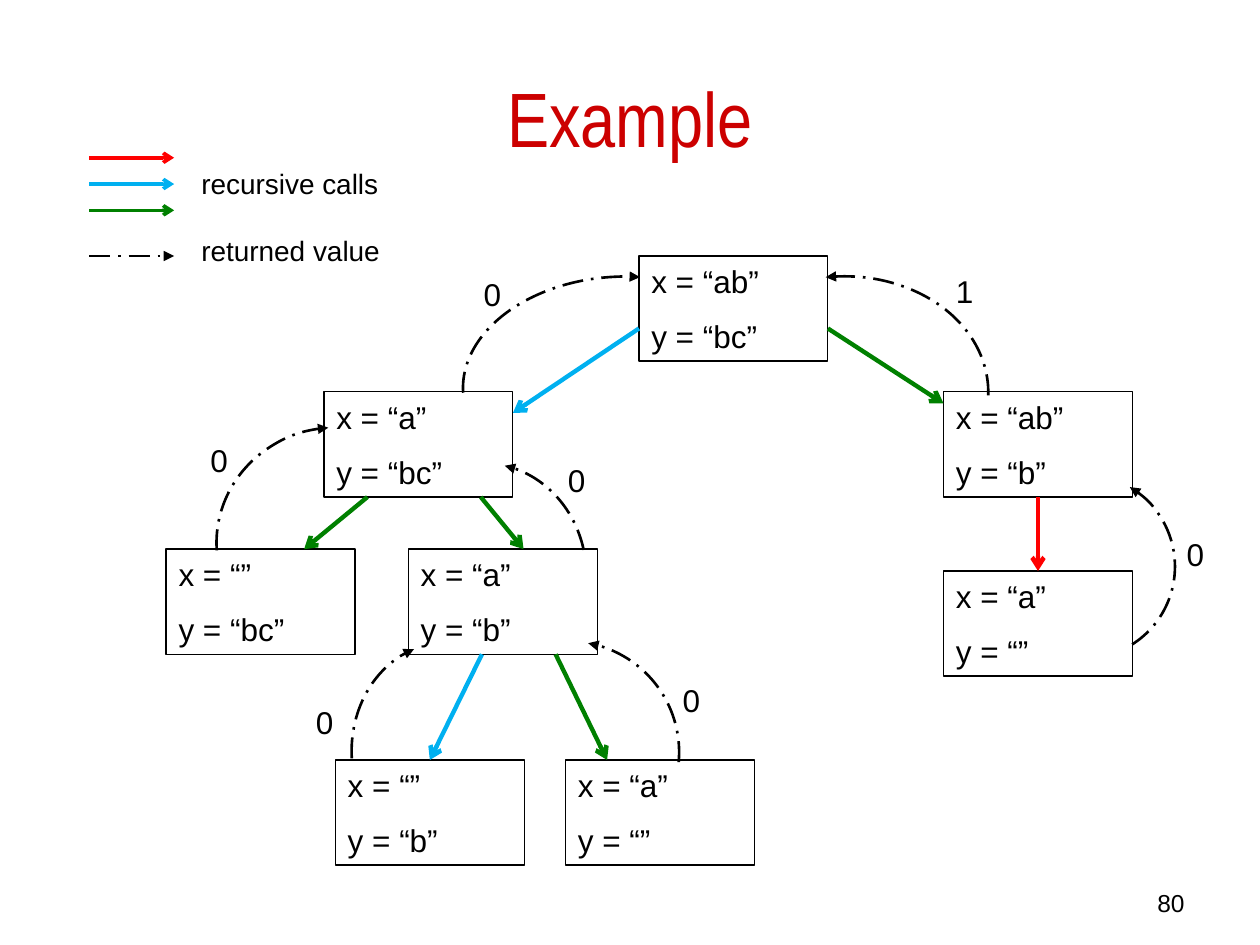
from lxml.etree import SubElement
from pptx import Presentation
from pptx.dml.color import RGBColor
from pptx.enum.dml import MSO_LINE
from pptx.enum.shapes import MSO_CONNECTOR, MSO_SHAPE
from pptx.enum.text import MSO_ANCHOR, PP_ALIGN
from pptx.oxml.ns import qn
from pptx.util import Cm, Pt

# Content (lengths in cm)
COLORS = {"black": "000000", "title": "CC0000", "red": "FF0000",
          "blue": "00B0F0", "green": "008000"}
BOX_W, BOX_H = 3.81, 2.12
LABEL_W, LABEL_H = 1.7, 1.02

# name: (left, top, x, y)
CALLS = {
    "root": (12.88, 5.16, "ab", "bc"),
    "left": (6.53, 7.9, "a", "bc"),
    "right": (19.02, 7.9, "ab", "b"),
    "left-left": (3.35, 11.07, "", "bc"),
    "left-right": (8.23, 11.07, "a", "b"),
    "right-down": (19.02, 11.51, "a", ""),
    "leaf-left": (6.76, 15.32, "", "b"),
    "leaf-right": (11.4, 15.32, "a", ""),
}
# caller, callee, colour, and the end points as fractions of each box
ARROWS = [
    ("root", "left", "blue", (0, 0.69), (1, 0.2)),
    ("left", "left-left", "green", (0.23, 1), (0.73, 0)),
    ("left", "left-right", "green", (0.83, 1), (0.61, 0)),
    ("left-right", "leaf-left", "blue", (0.39, 1), (0.5, 0)),
    ("left-right", "leaf-right", "green", (0.78, 1), (0.22, 0)),
    ("root", "right", "green", (1, 0.69), (0, 0.11)),
    ("right", "right-down", "red", (0.5, 1), (0.5, 0)),
]
SITES = {(0.5, 0): 0, (0, 0.5): 1, (0.5, 1): 2, (1, 0.5): 3}

# value, label left/top, arc frame, flipped, arc adjustments
RETURNS = [
    ("0", (23.67, 10.67), (19.99, 9.58, 3.71, 3.68), True, (124.72, 195.48)),
    ("0", (3.99, 8.76), (4.47, 8.51, 4.62, 4.83), False, (162, 0)),
    ("0", (6.12, 14.05), (6.81, 13.23, 4.47, 3.91), False, (162.58, 207.38)),
    ("0", (9.5, 5.41), (10.31, 4.6, 4.24, 6.2), False, (162, 9.95)),
    ("0", (13.51, 13.61), (9.22, 12.93, 4.47, 4.47), True, (156.53, 207.38)),
    ("0", (11.2, 9.17), (7.54, 9.53, 4.47, 4.09), True, (167.86, 207.38)),
    ("1", (19.02, 5.36), (14.5, 4.98, 4.83, 6.02), True, (159.83, 1.46)),
]
LEGEND_X = (1.8, 3.51)
LEGEND = [(3.18, "red"), (3.71, "blue"), (4.24, "green"), (5.16, None)]


def write(sp, lines, gap=0, anchor=MSO_ANCHOR.TOP, align=PP_ALIGN.LEFT,
          color="black", **font):
    tf = sp.text_frame
    tf.word_wrap = True
    tf.vertical_anchor = anchor
    for i, line in enumerate(lines):
        p = tf.add_paragraph() if i else tf.paragraphs[0]
        p.alignment = align
        p.space_before = Pt(gap if i else 0)
        r = p.add_run()
        r.text = line
        r.font.color.rgb = RGBColor.from_string(COLORS[color])
        for key, value in {"name": "Arial", "size": Pt(18), **font}.items():
            setattr(r.font, key, value)


def add_text(frame, lines, **fmt):
    write(s.shapes.add_textbox(*map(Cm, frame)), lines, **fmt)


def set_line(sp, color="black", width=1.5, dash=None, arrow=None):
    sp.line.color.rgb = RGBColor.from_string(COLORS[color])
    sp.line.width = Pt(width)
    if dash:
        sp.line.dash_style = dash
    if arrow:
        SubElement(sp.line._get_or_add_ln(), qn("a:tailEnd"), type=arrow)


def add_arrow(start, end, **fmt):
    c = s.shapes.add_connector(MSO_CONNECTOR.STRAIGHT, *map(Cm, start + end))
    set_line(c, **fmt)
    SubElement(c._element.spPr, qn("a:effectLst"))
    return c


def add_outline(kind, frame):
    sp = s.shapes.add_shape(kind, *map(Cm, frame))
    sp.shadow.inherit = False
    sp.fill.background()
    return sp


def box_point(name, fraction):
    left, top = CALLS[name][:2]
    return left + fraction[0] * BOX_W, top + fraction[1] * BOX_H


prs = Presentation()
prs.slide_width, prs.slide_height = Cm(25.4), Cm(19.05)
s = prs.slides.add_slide(prs.slide_layouts[6])
RETURN_LINE = {"dash": MSO_LINE.LONG_DASH_DOT, "arrow": "triangle"}

# Title and slide number
add_text((1.27, 0.76, 22.86, 3.18), ["Example"], anchor=MSO_ANCHOR.MIDDLE,
         align=PP_ALIGN.CENTER, color="title", name="Arial Narrow", size=Pt(44))
add_text((18.21, 17.78, 5.92, 0.64), ["80"], align=PP_ALIGN.RIGHT, size=Pt(14))

# Boxes with the arguments of each call
boxes = {}
for name, (left, top, x, y) in CALLS.items():
    sp = boxes[name] = add_outline(MSO_SHAPE.RECTANGLE, (left, top, BOX_W, BOX_H))
    set_line(sp, width=0.75)
    write(sp, [f"x = “{x}”", f"y = “{y}”"], gap=10, anchor=MSO_ANCHOR.MIDDLE)

# Recursive calls
for caller, callee, color, start, end in ARROWS:
    c = add_arrow(box_point(caller, start), box_point(callee, end),
                  color=color, width=2.5, arrow="arrow")
    if start in SITES:
        c.begin_connect(boxes[caller], SITES[start])
    if end in SITES:
        c.end_connect(boxes[callee], SITES[end])

# Returned values
for value, corner, frame, flipped, angles in RETURNS:
    arc = add_outline(MSO_SHAPE.ARC, frame)
    for i, angle in enumerate(angles):
        arc.adjustments[i] = angle
    arc.rotation = 266
    if flipped:
        arc._element.spPr.xfrm.set("flipV", "1")
    set_line(arc, **RETURN_LINE)
    add_text(corner + (LABEL_W, LABEL_H), [value])

# Legend
for y, color in LEGEND:
    fmt = {"color": color, "width": 2, "arrow": "arrow"} if color else RETURN_LINE
    add_arrow((LEGEND_X[0], y), (LEGEND_X[1], y), **fmt)
add_text((3.81, 3.23, 4.24, 2.36), ["recursive calls", "returned value"],
         gap=19, size=Pt(16))

prs.save("out.pptx")
